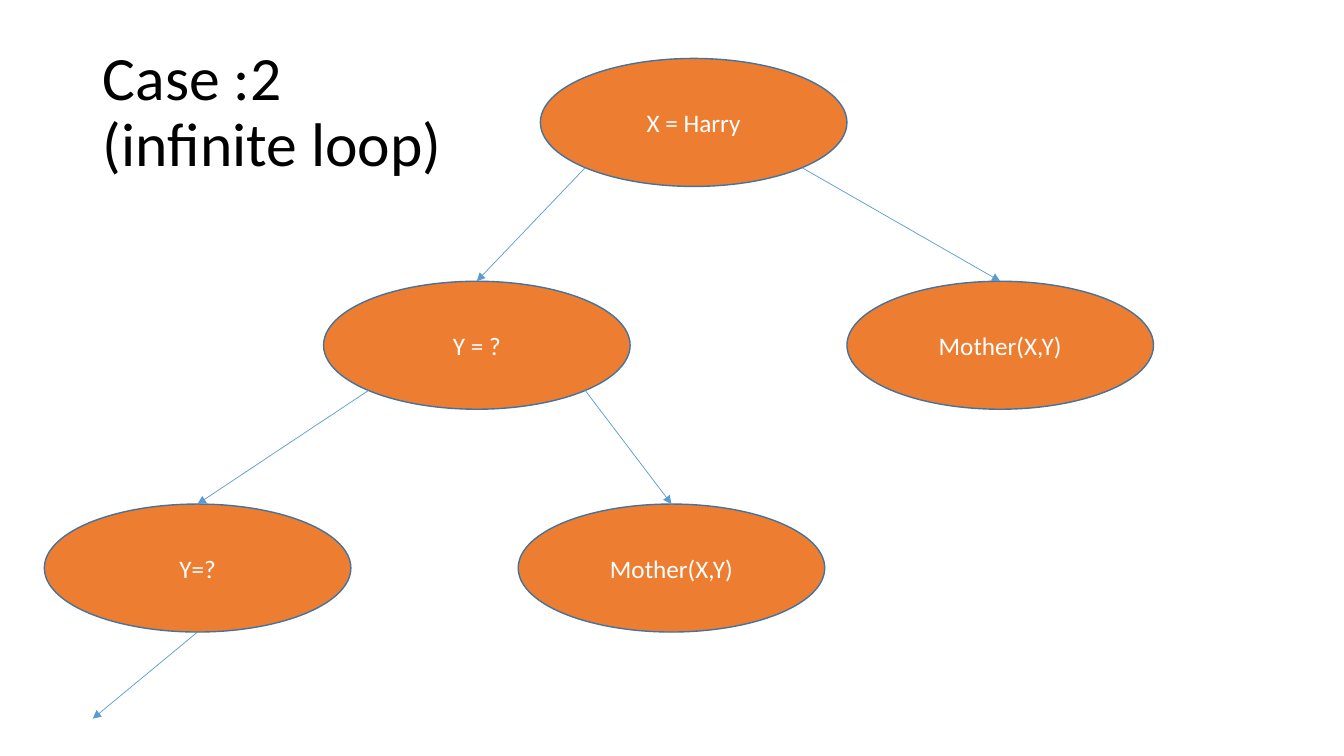
from math import sqrt

from lxml.etree import SubElement
from pptx import Presentation
from pptx.dml.color import RGBColor
from pptx.enum.shapes import MSO_CONNECTOR as Connector, MSO_SHAPE as Preset
from pptx.enum.text import MSO_ANCHOR as Anchor, MSO_AUTO_SIZE as AutoSize, PP_ALIGN as Align
from pptx.oxml.ns import qn
from pptx.util import Inches, Pt


def apply_format(target, values):
    for name, value in values.items():
        setattr(target, name, value)


def paint(color_format, hex_color):
    color_format.rgb = RGBColor.from_string(hex_color)


class TreeSlide:
    """Style and current slide; lengths are percentages of the slide's size."""
    FONT = "Calibri"
    FILL, OUTLINE, ARROW = "ED7D31", "43739E", "5B9BD5"
    NODE_WIDTH, NODE_HEIGHT = 22.81, 16.93
    FIRST_ROW, ROW_STEP = 7.73, 29.47

    def __init__(self, presentation):
        self.width, self.height = presentation.slide_width, presentation.slide_height
        self.slide = presentation.slides.add_slide(presentation.slide_layouts[5])

    def x(self, share):
        return round(self.width * share / 100)

    def y(self, share):
        return round(self.height * share / 100)

    def set_text(self, shape, text, size, color, align, spacing=1.0):
        frame = shape.text_frame
        frame.text = text
        apply_format(frame, {"word_wrap": True, "auto_size": AutoSize.NONE,
                             "vertical_anchor": Anchor.MIDDLE})
        for paragraph in frame.paragraphs:
            apply_format(paragraph, {"alignment": align, "line_spacing": spacing})
            for run in paragraph.runs:
                apply_format(run.font, {"name": self.FONT, "size": Pt(size)})
                paint(run.font.color, color)

    def title(self, text, left, top, width, height):
        shape = self.slide.shapes.title
        apply_format(shape, {"left": self.x(left), "top": self.y(top),
                             "width": self.x(width), "height": self.y(height)})
        self.set_text(shape, text, 44, "000000", Align.LEFT, 0.9)

    def node(self, text, center, level):
        shape = self.slide.shapes.add_shape(
            Preset.OVAL, self.x(center - self.NODE_WIDTH / 2),
            self.y(self.FIRST_ROW + level * self.ROW_STEP),
            self.x(self.NODE_WIDTH), self.y(self.NODE_HEIGHT))
        shape.shadow.inherit = False
        shape.fill.solid()
        paint(shape.fill.fore_color, self.FILL)
        paint(shape.line.color, self.OUTLINE)
        shape.line.width = Pt(1)
        self.set_text(shape, text, 18, "FFFFFF", Align.CENTER)
        return shape

    def arrow(self, start, end):
        connector = self.slide.shapes.add_connector(Connector.STRAIGHT, *start, *end)
        paint(connector.line.color, self.ARROW)
        connector.line.width = Pt(0.5)
        properties = connector._element.spPr
        SubElement(properties.get_or_add_ln(), qn("a:tailEnd"), type="triangle")
        SubElement(properties, qn("a:effectLst"))
        return connector

    def branch(self, parent, child):
        """Leave the parent's lower diagonal point on the child's side."""
        parent_x = parent.left + parent.width // 2
        child_x = child.left + child.width // 2
        side = 1 if child_x > parent_x else -1
        start = (round(parent_x + side * parent.width / sqrt(8)),
                 round(parent.top + parent.height * (0.5 + 1 / sqrt(8))))
        self.arrow(start, (child_x, child.top)).end_connect(child, 0)


presentation = Presentation()
apply_format(presentation, {"slide_width": Inches(13.33), "slide_height": Inches(7.5)})
tree = TreeSlide(presentation)

# Title
tree.title("Case :2\v(infinite loop)", 6.9, 5.33, 86.27, 19.33)

# Nodes: text, centre, level
root, unknown, mother, repeated, repeated_mother = [
    tree.node(*node) for node in (
        ("X = Harry", 51.61, 0),
        ("Y = ?", 35.48, 1),
        ("Mother(X,Y)", 74.42, 1),
        ("Y=?", 14.7, 2),
        ("Mother(X,Y)", 49.96, 2))]

# Branches
for parent, child in ((root, unknown), (root, mother),
                      (unknown, repeated), (unknown, repeated_mother)):
    tree.branch(parent, child)

# Open arrow: the search goes on
loop = tree.arrow((tree.x(14.7), repeated.top + repeated.height),
                  (tree.x(6.9), tree.y(95.07)))
loop.begin_connect(repeated, 2)
# An oval's bottom is its fifth connection site
loop._element.find(".//" + qn("a:stCxn")).set("idx", "4")

presentation.save("out.pptx")
